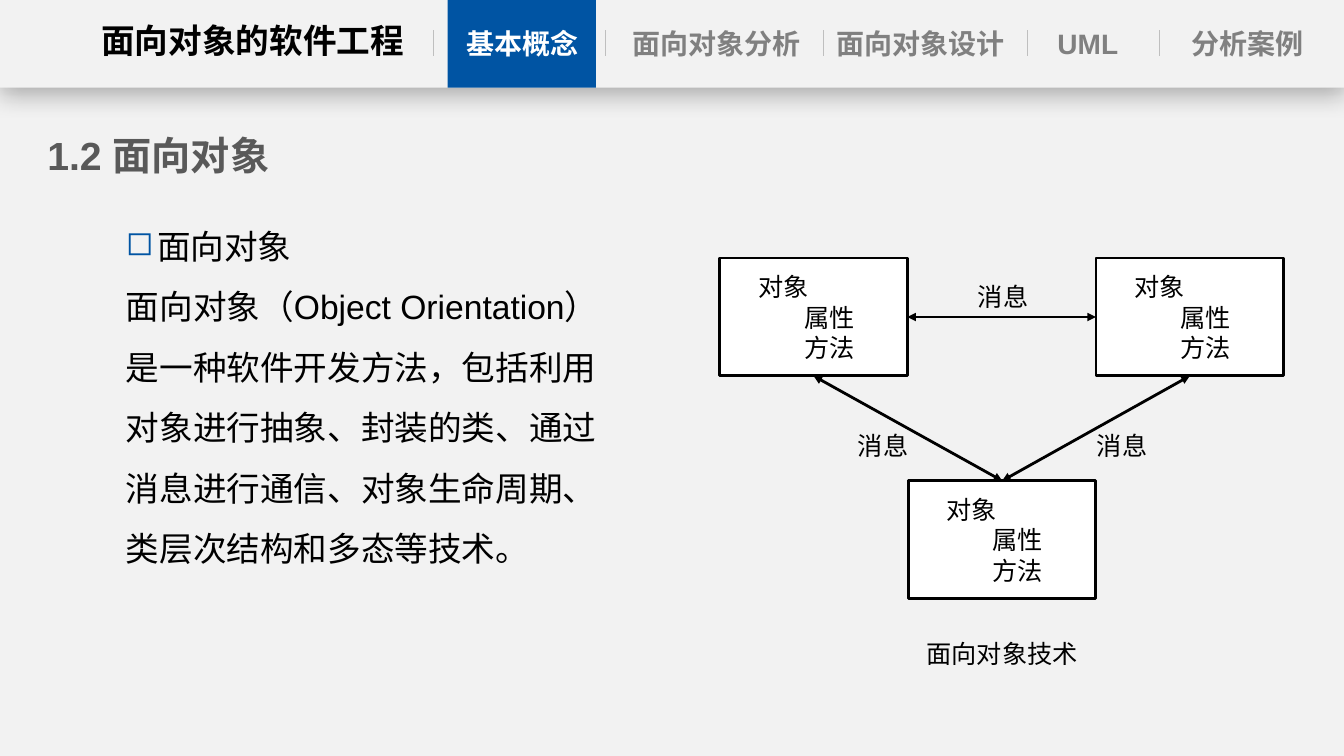
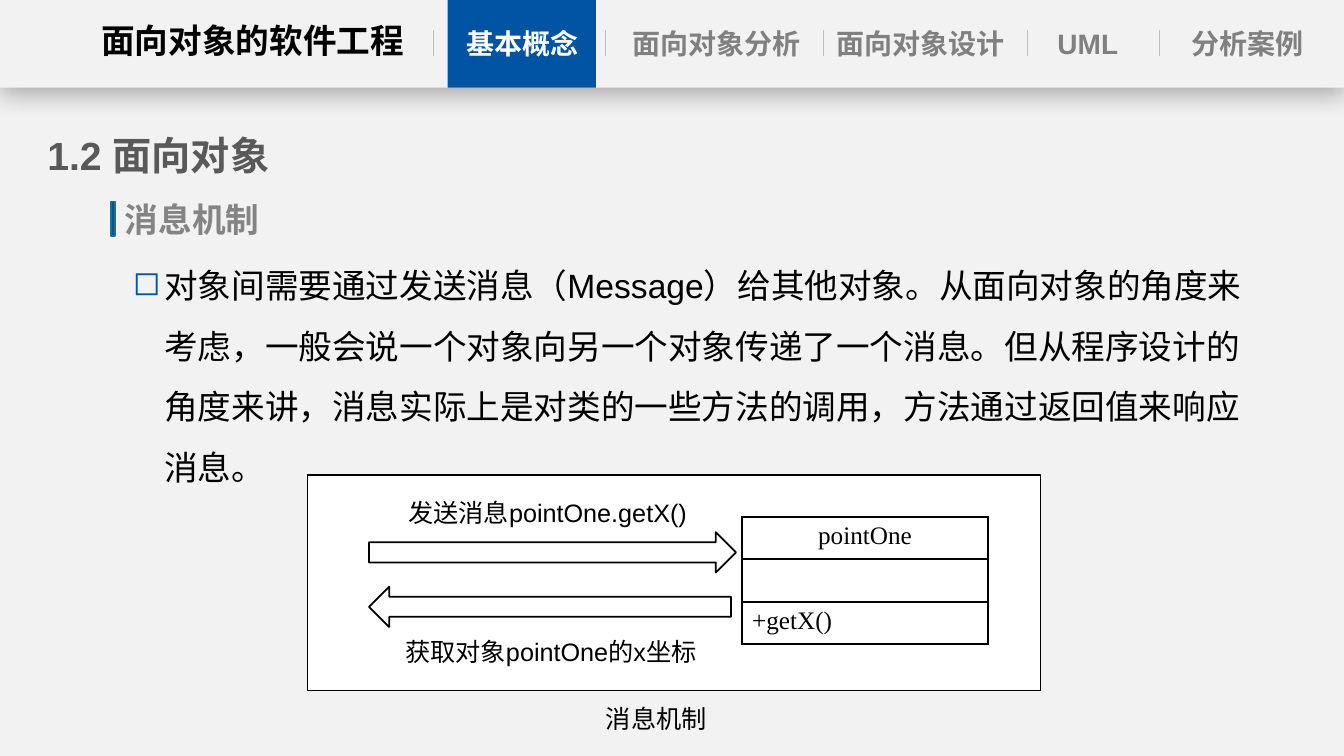
"""Build two slides on object orientation and message passing."""
import lxml.etree
import pptx
import pptx.dml.color
import pptx.enum.shapes
import pptx.enum.text
import pptx.oxml.ns
import pptx.util

Inches = pptx.util.Inches
Pt = pptx.util.Pt
qn = pptx.oxml.ns.qn
SHAPE = pptx.enum.shapes.MSO_SHAPE
ALIGN = pptx.enum.text.PP_ALIGN
ANCHOR = pptx.enum.text.MSO_ANCHOR

COLORS = {
    "page": "F2F2F2", "accent": "0054A3", "accent_line": "266D8A",
    "black": "000000", "white": "FFFFFF", "separator": "BFBFBF",
    "nav": "808080", "title": "595959", "subtitle": "848484",
}
FONT = "Arial"
TABLE_FONT = "Times New Roman"

COURSE = "面向对象的软件工程"
NAV = [
    ("基本概念", 4.25, 1.86),
    ("面向对象分析", 6.18, 1.86),
    ("面向对象设计", 8.04, 2.18),
    ("UML", 9.86, 1.86),
    ("分析案例", 11.44, 1.86),
]
ACTIVE = "基本概念"
SEPARATORS = [4.3, 6, 8.17, 10.19, 11.5]
BAND_H = 0.87
TITLE = "1.2 面向对象"

DEFINITION = [
    ("面向对象", True),
    ("面向对象（Object Orientation）是一种软件开发方法，包括利用对象进行抽象、封装的类、"
     "通过消息进行通信、对象生命周期、类层次结构和多态等技术。", False),
]
OBJECT_LINES = [("对象", ALIGN.LEFT, 0.28), ("属性", ALIGN.CENTER, 0.31),
                ("方法", ALIGN.CENTER, 0.31)]
OBJECT_SIZE = (1.86, 1.17)
OBJECTS = {"left": (7.14, 2.56), "right": (10.87, 2.56), "bottom": (9.01, 4.77)}
MESSAGES = [("left", 3, "right", 1), ("left", 2, "bottom", 0), ("right", 2, "bottom", 0)]
MESSAGE = "消息"
MESSAGE_LABELS = [(9.6, 2.74), (8.41, 4.22), (10.78, 4.22)]
DIAGRAM_CAPTION = "面向对象技术"

MECHANISM = "消息机制"
MECHANISM_TEXT = [
    ("对象间需要通过发送消息（Message）给其他对象。从面向对象的角度来考虑，"
     "一般会说一个对象向另一个对象传递了一个消息。但从程序设计的角度来讲，"
     "消息实际上是对类的一些方法的调用，方法通过返回值来响应消息。", True),
]
CLASS_ROWS = [("pointOne", ALIGN.CENTER), ("", ALIGN.LEFT), ("+getX()", ALIGN.LEFT)]
CALLS = [
    (SHAPE.RIGHT_ARROW, 5.28, 3.64, "发送消息pointOne.getX()", 3.95, 4.88),
    (SHAPE.LEFT_ARROW, 5.82, 3.59, "获取对象pointOne的x坐标", 3.92, 6.26),
]


def rgb(name):
    return pptx.dml.color.RGBColor.from_string(COLORS[name])


def add_xml(parent, tag, **attributes):
    return lxml.etree.SubElement(parent, qn(tag), attributes)


def add_color(parent, name):
    return add_xml(parent, "a:srgbClr", val=COLORS[name])


def set_font(p, size, color="black", bold=False, name=FONT):
    p.font.name = name
    p.font.size = Pt(size)
    p.font.bold = bold
    p.font.color.rgb = rgb(color)


def set_indent(p, margin, first=0):
    pPr = p._p.get_or_add_pPr()
    pPr.set("marL", str(Inches(margin)))
    pPr.set("indent", str(Inches(first)))
    return pPr


def add_text(s, text, x, y, w, h, size=18, color="black", bold=False,
             align=ALIGN.LEFT, inset=0.1):
    sp = s.shapes.add_textbox(Inches(x), Inches(y), Inches(w), Inches(h))
    tf = sp.text_frame
    tf.word_wrap = True
    tf.auto_size = pptx.enum.text.MSO_AUTO_SIZE.SHAPE_TO_FIT_TEXT
    tf.margin_left = tf.margin_right = Inches(inset)
    p = tf.paragraphs[0]
    p.text = text
    p.alignment = align
    set_font(p, size, color, bold)


def add_body(s, paragraphs, x, y, w, h):
    sp = s.shapes.add_textbox(Inches(x), Inches(y), Inches(w), Inches(h))
    tf = sp.text_frame
    tf.word_wrap = True
    for i, (text, bulleted) in enumerate(paragraphs):
        p = tf.add_paragraph() if i else tf.paragraphs[0]
        p.text = text
        p.line_spacing = 1.5
        if bulleted:
            pPr = set_indent(p, 1.06, -0.31)
            add_color(add_xml(pPr, "a:buClr"), "accent")
            add_xml(pPr, "a:buChar", char="◻")
        else:
            set_indent(p, 0.75)
        set_font(p, 24)


def add_box(s, kind, x, y, w, h, fill=None, line=None, weight=1.25):
    sp = s.shapes.add_shape(kind, Inches(x), Inches(y), Inches(w), Inches(h))
    sp.shadow.inherit = False
    if fill:
        sp.fill.solid()
        sp.fill.fore_color.rgb = rgb(fill)
    else:
        sp.fill.background()
    if line:
        sp.line.color.rgb = rgb(line)
        sp.line.width = Pt(weight)
    else:
        sp.line.fill.background()
    return sp


def add_line(s, x1, y1, x2, y2, color, weight):
    line = s.shapes.add_connector(pptx.enum.shapes.MSO_CONNECTOR.STRAIGHT,
                                  Inches(x1), Inches(y1), Inches(x2), Inches(y2))
    line.line.color.rgb = rgb(color)
    line.line.width = Pt(weight)
    add_xml(line._element.spPr, "a:effectLst")
    return line


def add_header(s):
    band = add_box(s, SHAPE.RECTANGLE, 0, 0, 13.33, BAND_H, "page")
    effects = band._element.spPr.find(qn("a:effectLst"))
    shadow = add_xml(effects, "a:outerShdw", blurRad=str(Pt(18)), dist=str(Pt(4)),
                     dir="5400000", algn="t", rotWithShape="0")
    add_xml(add_color(shadow, "black"), "a:alpha", val="29000")
    add_text(s, COURSE, 0.41, 0.15, 4.19, 0.51, 24, bold=True,
             align=ALIGN.CENTER, inset=0)
    add_box(s, SHAPE.RECTANGLE, 4.44, 0, 1.47, BAND_H, "accent")
    for label, x, w in NAV:
        add_text(s, label, x, 0.21, w, 0.44, 20,
                 "white" if label == ACTIVE else "nav", True, ALIGN.CENTER, 0)
    for x in SEPARATORS:
        add_line(s, x, 0.3, x, 0.56, "separator", 0.5)
    add_text(s, TITLE, 0.47, 1.25, 6.9, 0.57, 28, "title", True, inset=0)


def add_object(s, x, y):
    sp = add_box(s, SHAPE.RECTANGLE, x, y, *OBJECT_SIZE, "white", "black", 2)
    tf = sp.text_frame
    tf.vertical_anchor = ANCHOR.MIDDLE
    for i, (text, align, margin) in enumerate(OBJECT_LINES):
        p = tf.add_paragraph() if i else tf.paragraphs[0]
        p.text = text
        p.alignment = align
        set_indent(p, margin)
        set_font(p, 18)
    return sp


def add_message(s, source, source_side, target, target_side):
    line = add_line(s, 0, 0, 1, 1, "black", 2)
    line.begin_connect(source, source_side)
    line.end_connect(target, target_side)
    ln = line._element.spPr.find(qn("a:ln"))
    for end in ("a:headEnd", "a:tailEnd"):
        add_xml(ln, end, type="triangle")


def add_class_table(s, x, y, w, row_h):
    frame = s.shapes.add_table(len(CLASS_ROWS), 1, Inches(x), Inches(y),
                               Inches(w), Inches(row_h * len(CLASS_ROWS)))
    table = frame.table
    table.first_row = table.horz_banding = False
    for i, (text, align) in enumerate(CLASS_ROWS):
        cell = table.cell(i, 0)
        tcPr = cell._tc.get_or_add_tcPr()
        for side in ("a:lnL", "a:lnR", "a:lnT", "a:lnB"):
            border = add_xml(tcPr, side, w=str(Pt(1.5)))
            add_color(add_xml(border, "a:solidFill"), "black")
        cell.fill.solid()
        cell.fill.fore_color.rgb = rgb("white")
        p = cell.text_frame.paragraphs[0]
        if text:
            p.text = text
        p.alignment = align
        set_font(p, 18, name=TABLE_FONT)


def build_definition(s):
    add_body(s, DEFINITION, 0.4, 1.99, 5.78, 4.82)
    boxes = {name: add_object(s, x, y) for name, (x, y) in OBJECTS.items()}
    for source, source_side, target, target_side in MESSAGES:
        add_message(s, boxes[source], source_side, boxes[target], target_side)
    for x, y in MESSAGE_LABELS:
        add_text(s, MESSAGE, x, y, 0.89, 0.4)
    add_text(s, DIAGRAM_CAPTION, 9.09, 6.28, 2.58, 0.4)


def build_mechanism(s):
    add_box(s, SHAPE.RECTANGLE, 3.05, 4.71, 7.27, 2.14, "white", "black")
    add_box(s, SHAPE.RECTANGLE, 1.1, 2, 0.04, 0.34, "accent", "accent_line", 1)
    add_text(s, MECHANISM, 1.14, 1.92, 4.02, 0.5, 24, "subtitle", True)
    add_body(s, MECHANISM_TEXT, 0.47, 2.38, 12.09, 4.96)
    add_class_table(s, 7.36, 5.13, 2.44, 0.42)
    for kind, y, w, label, label_x, label_y in CALLS:
        add_box(s, kind, 3.66, y, w, 0.4, line="black")
        add_text(s, label, label_x, label_y, 3.41, 0.4)
    add_text(s, MECHANISM, 5.24, 6.93, 2.54, 0.4, align=ALIGN.CENTER)


def main():
    prs = pptx.Presentation()
    prs.slide_width = Inches(13.33)
    prs.slide_height = Inches(7.5)
    background = prs.slide_master.background.fill
    background.solid()
    background.fore_color.rgb = rgb("page")
    for build in (build_definition, build_mechanism):
        s = prs.slides.add_slide(prs.slide_layouts[6])
        add_header(s)
        build(s)
    prs.save("out.pptx")


if __name__ == "__main__":
    main()
